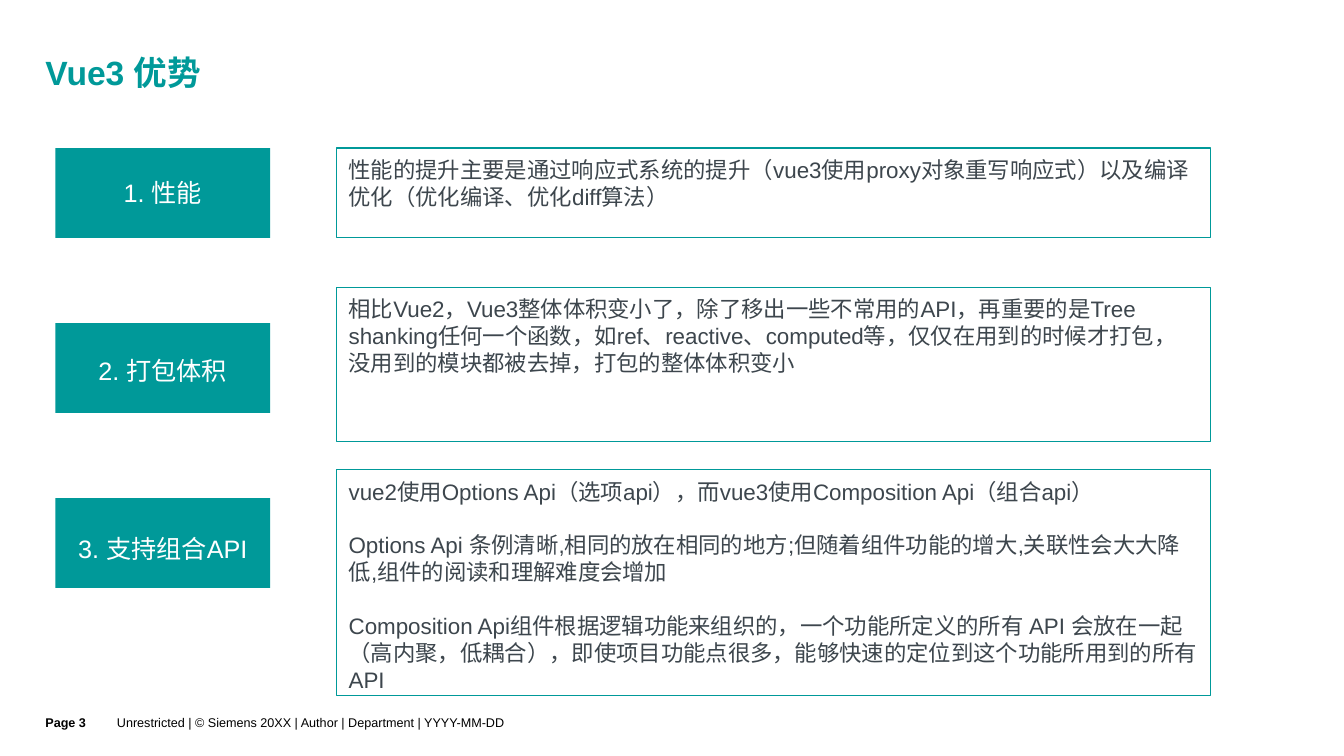
from pptx import Presentation
from pptx.dml.color import RGBColor
from pptx.enum.shapes import MSO_SHAPE as Shape
from pptx.enum.text import MSO_ANCHOR as Anchor, MSO_AUTO_SIZE as Fit, PP_ALIGN as Align
from pptx.util import Pt

TEAL, GREY, WHITE, BLACK = "009999", "3D464D", "FFFFFF", "000000"
ROWS = [
    ("1. 性能", 1.7, 105.8, 64.1, [
        "性能的提升主要是通过响应式系统的提升（vue3使用proxy对象重写响应式）以及编译优化（优化编译、优化diff算法）"]),
    ("2. 打包体积", 1.8, 205.2, 110.2, [
        "相比Vue2，Vue3整体体积变小了，除了移出一些不常用的API，再重要的是Tree shanking任何一个函数，"
        "如ref、reactive、computed等，仅仅在用到的时候才打包，没用到的模块都被去掉，打包的整体体积变小"]),
    ("3. 支持组合API", 1.9, 335.5, 161.3, [
        "vue2使用Options Api（选项api），而vue3使用Composition Api（组合api）",
        "Options Api 条例清晰,相同的放在相同的地方;但随着组件功能的增大,关联性会大大降低,组件的阅读和理解难度会增加",
        "Composition Api组件根据逻辑功能来组织的，一个功能所定义的所有 API 会放在一起（高内聚，低耦合），"
        "即使项目功能点很多，能够快速的定位到这个功能所用到的所有 API"]),
]


def paint(fmt, color):
    """Give a fill a solid colour."""
    fmt.solid()
    fmt.fore_color.rgb = RGBColor.from_string(color)


def write(shape, paras, size, color, insets, anchor, bold=False,
          align=Align.LEFT, lead=1.0, gap=0):
    """Fill a shape with paragraphs in one style."""
    frame = shape.text_frame
    frame.word_wrap = True
    frame.auto_size = Fit.NONE
    frame.vertical_anchor = anchor
    (frame.margin_left, frame.margin_top,
     frame.margin_right, frame.margin_bottom) = map(Pt, insets)
    frame.text = "\n".join(paras)
    for i, para in enumerate(frame.paragraphs):
        para.alignment = align
        para.line_spacing = lead
        para.space_before = Pt(gap if i else 0)
        font = para.font
        font.name, font.size, font.bold = "Arial", Pt(size), bold
        paint(font.fill, color)


def add_box(slide, box):
    """Add a plain rectangle with a teal outline."""
    shape = slide.shapes.add_shape(Shape.RECTANGLE, *map(Pt, box))
    shape.shadow.inherit = False
    shape.fill.background()
    paint(shape.line.fill, TEAL)
    shape.line.width = Pt(1)
    return shape


def add_title(slide, box, text):
    """Place the slide title."""
    title = slide.shapes.title
    title.left, title.top, title.width, title.height = map(Pt, box)
    write(title, [text], 24, TEAL, (0, 0, 25.2, 1.4), Anchor.BOTTOM, True, lead=0.9)


def add_label(slide, box, text, lead):
    """Add a filled topic label."""
    label = add_box(slide, box)
    paint(label.fill, TEAL)
    label.line.fill.background()
    write(label, [text], 18, WHITE, (8.6, 5.8, 8.6, 5.8), Anchor.TOP,
          align=Align.CENTER, lead=lead)


def add_detail(slide, box, paras):
    """Add an outlined box of explanation."""
    write(add_box(slide, box), paras, 16, GREY, (8.6, 5.8, 8.6, 5.8), Anchor.TOP, gap=19.2)


def add_rows(slide, box):
    """Add the labels at an even pitch with their details."""
    left, top, width, pitch = box
    wide, offset = 153.4, 200.9
    for i, (name, lead, y, high, paras) in enumerate(ROWS):
        add_label(slide, (left, top + i * pitch, wide, 64.1), name, lead)
        add_detail(slide, (left + offset, y, width - offset, high), paras)


def add_footer(slide, box):
    """Add the page number and the footer line."""
    left, top, width, high = box
    split = 51.1
    parts = [(left, split, "Page 3", True),
             (left + split, width - split,
              "Unrestricted | © Siemens 20XX | Author | Department | YYYY-MM-DD", False)]
    for x, wide, text, bold in parts:
        part = slide.shapes.add_textbox(Pt(x), Pt(top), Pt(wide), Pt(high))
        write(part, [text], 9, BLACK, (0, 0, 0, 5), Anchor.MIDDLE, bold)


def main():
    """Build and save the slide."""
    deck = Presentation()
    deck.slide_width, deck.slide_height = Pt(960), Pt(540)
    slide = deck.slides.add_slide(deck.slide_layouts[5])
    paint(slide.background.fill, WHITE)
    add_title(slide, (32.4, 15.1, 776.9, 52.6), "Vue3 优势")
    add_rows(slide, (39.6, 105.8, 825.1, 125))
    add_footer(slide, (32.4, 496.8, 776.9, 43.2))
    deck.save("out.pptx")


if __name__ == "__main__":
    main()
